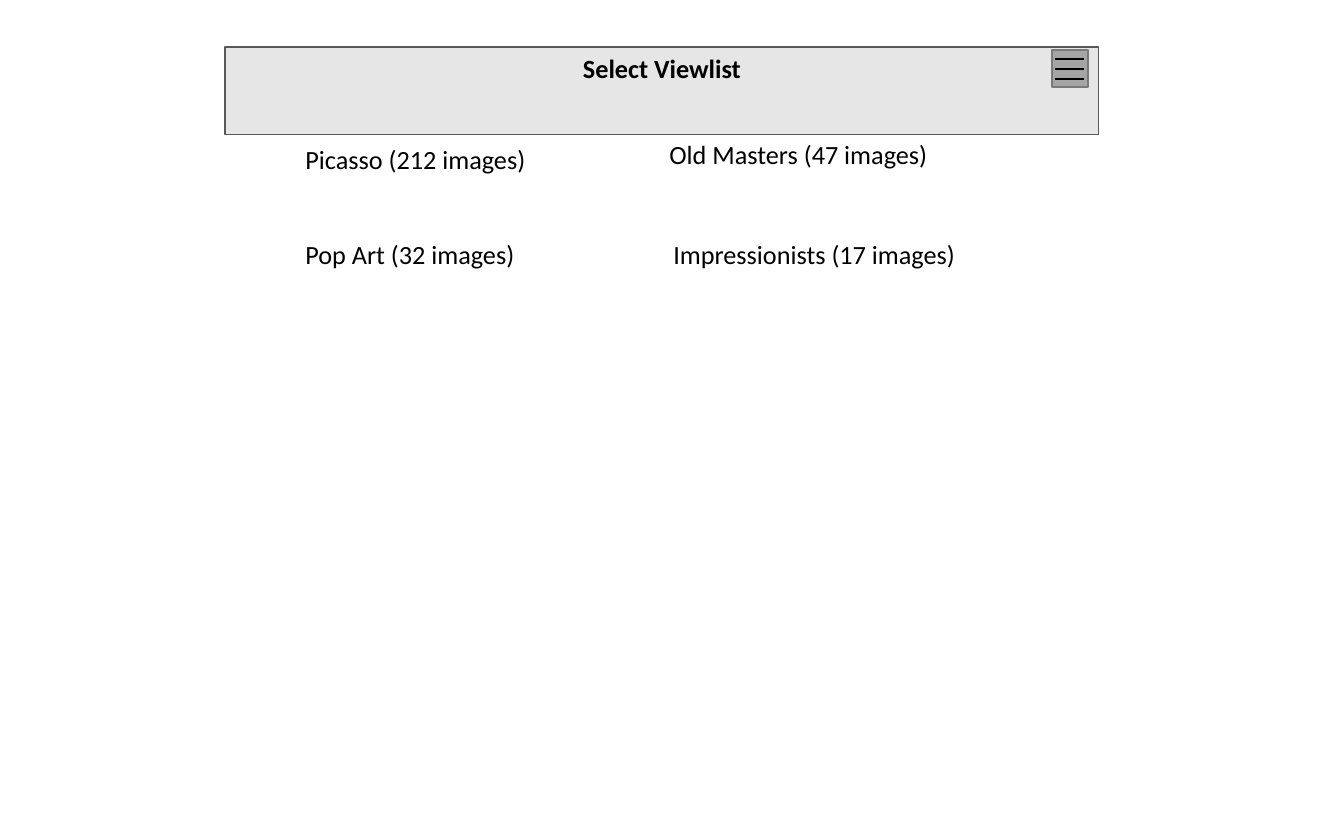
from dataclasses import dataclass

from lxml import etree
from pptx import Presentation
from pptx import util as u
from pptx.dml.color import RGBColor
from pptx.enum import shapes, text
from pptx.oxml.ns import qn

PX = u.Inches(1) / 105


@dataclass(frozen=True)
class Theme:
    font: str = "Calibri"
    size: int = 18
    ink: str = "000000"
    bar: str = "E7E6E6"
    edge: str = "595959"
    icon: str = "A5A5A5"
    rim: str = "7A7A7A"


@dataclass(frozen=True)
class Box:
    x: int
    y: int
    w: int
    h: int = 42


@dataclass(frozen=True)
class Entry:
    name: str
    count: int
    box: Box


THEME = Theme()
BAR = Box(225, 47, 874)
ICON = Box(1052, 50, 36, 37)
ENTRIES = [
    Entry("Picasso", 212, Box(295, 138, 248)),
    Entry("Pop Art", 32, Box(295, 233, 319)),
    Entry("Old Masters", 47, Box(659, 133, 319)),
    Entry("Impressionists", 17, Box(663, 233, 319)),
]


def px(n: int) -> int:
    return round(n * PX)


def place(box: Box) -> list[int]:
    return [px(n) for n in (box.x, box.y, box.w, box.h)]


def paint(shape, fill: str, line: str, width: float) -> None:
    shape.fill.solid()
    shape.fill.fore_color.rgb = RGBColor.from_string(fill)
    shape.line.color.rgb = RGBColor.from_string(line)
    shape.line.width = u.Pt(width)


def write(shape, words: str, *, bold: bool = False,
          align=text.PP_ALIGN.LEFT, anchor=text.MSO_ANCHOR.MIDDLE) -> None:
    frame = shape.text_frame
    frame.text = words
    frame.word_wrap = True
    frame.auto_size = text.MSO_AUTO_SIZE.SHAPE_TO_FIT_TEXT
    frame.vertical_anchor = anchor
    para = frame.paragraphs[0]
    para.alignment = align
    font = para.runs[0].font
    font.name, font.size, font.bold = THEME.font, u.Pt(THEME.size), bold
    font.color.rgb = RGBColor.from_string(THEME.ink)


def draw_bar(title) -> None:
    title.left, title.top, title.width, title.height = place(BAR)
    paint(title, THEME.bar, THEME.edge, 0.75)
    write(title, "Select Viewlist", bold=True,
          align=text.PP_ALIGN.CENTER, anchor=text.MSO_ANCHOR.TOP)


def draw_entry(slide, entry: Entry) -> None:
    label = slide.shapes.add_textbox(*place(entry.box))
    write(label, f"{entry.name} ({entry.count} images)")


def draw_menu(slide) -> None:
    group = slide.shapes.add_group_shape()
    back = group.shapes.add_shape(shapes.MSO_SHAPE.RECTANGLE, *place(ICON))
    back.shadow.inherit = False
    paint(back, THEME.icon, THEME.rim, 1)
    left, right = px(ICON.x + 3), px(ICON.x + 32)
    for row in range(3):
        y = px(ICON.y + 9 + 10 * row)
        rule = group.shapes.add_connector(
            shapes.MSO_CONNECTOR.STRAIGHT, left, y, right, y)
        rule.line.color.rgb = RGBColor.from_string(THEME.ink)
        rule.line.width = u.Pt(1.5)
        etree.SubElement(rule._element.spPr, qn("a:effectLst"))


def main() -> None:
    deck = Presentation()
    deck.slide_width, deck.slide_height = px(1344), px(840)
    slide = deck.slides.add_slide(deck.slide_layouts[5])
    draw_bar(slide.shapes.title)
    for entry in ENTRIES:
        draw_entry(slide, entry)
    draw_menu(slide)
    deck.save("out.pptx")


if __name__ == "__main__":
    main()
